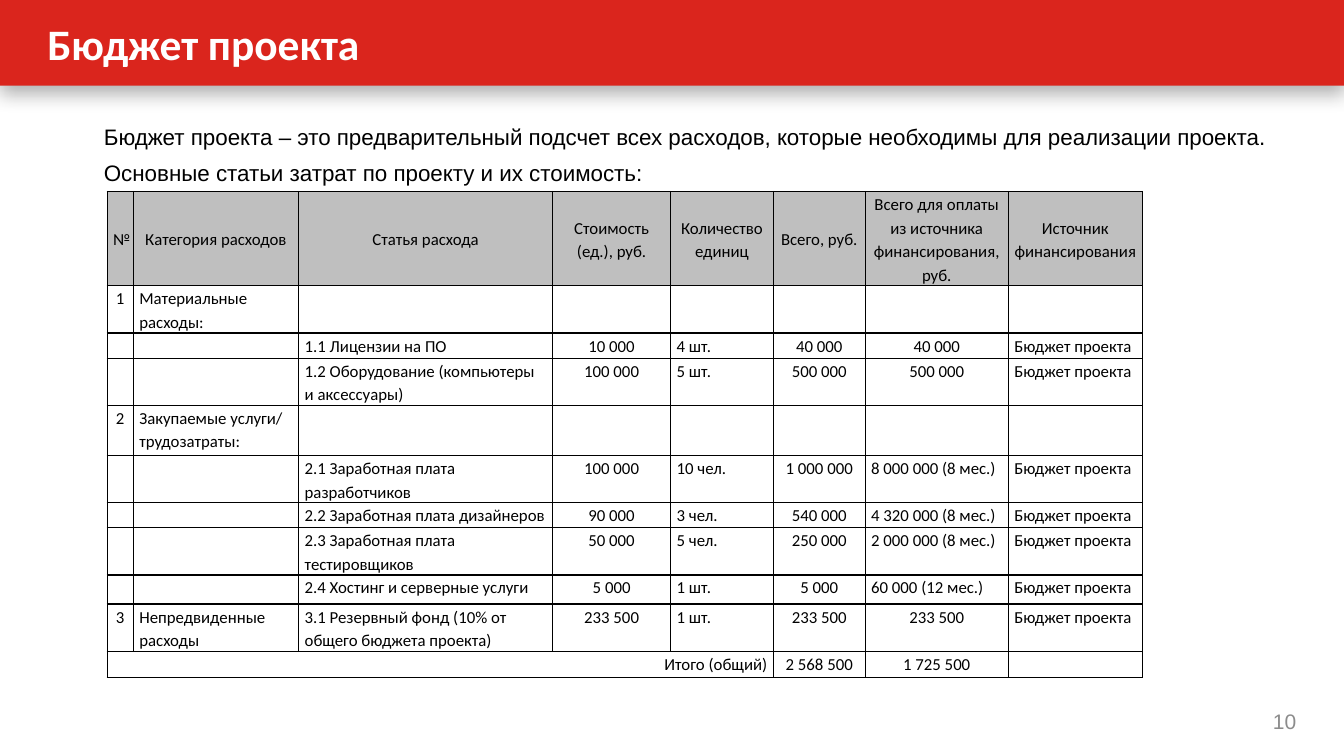
import pptx
import pptx.dml.color
import pptx.enum.shapes
import pptx.enum.text
import pptx.oxml.ns
import pptx.util
from lxml import etree

RED = pptx.dml.color.RGBColor(0xDA, 0x25, 0x1D)
WHITE = pptx.dml.color.RGBColor(0xFF, 0xFF, 0xFF)
BLACK = pptx.dml.color.RGBColor(0, 0, 0)
HEADER_GRAY = pptx.dml.color.RGBColor(0xBF, 0xBF, 0xBF)
NUMBER_GRAY = pptx.dml.color.RGBColor(0x8C, 0x8C, 0x8C)

SLIDE_WIDTH = pptx.util.Inches(13.33)
SLIDE_HEIGHT = pptx.util.Inches(7.5)

LEFT = pptx.enum.text.PP_ALIGN.LEFT
CENTER = pptx.enum.text.PP_ALIGN.CENTER
RIGHT = pptx.enum.text.PP_ALIGN.RIGHT
TOP = pptx.enum.text.MSO_ANCHOR.TOP
MIDDLE = pptx.enum.text.MSO_ANCHOR.MIDDLE

COLUMN_SHARES = [0.26, 1.64, 2.52, 1.17, 1.02, 0.91, 1.42, 1.33]
ROW_SHARES = [0.94, 0.47, 0.25, 0.47, 0.5, 0.47, 0.25, 0.47, 0.29, 0.47, 0.26]
COLUMN_ALIGNS = [CENTER, LEFT, LEFT, CENTER, LEFT, CENTER, CENTER, LEFT]
SOURCE = "Бюджет проекта"
EMPTY = [""] * 6
BUDGET = [
    ["№", "Категория расходов", "Статья расхода", "Стоимость (ед.), руб.", "Количество единиц",
     "Всего, руб.", "Всего для оплаты из источника финансирования, руб.", "Источник финансирования"],
    ["1", "Материальные расходы:", *EMPTY],
    ["", "", "1.1 Лицензии на ПО", "10 000", "4 шт.", "40 000", "40 000", SOURCE],
    ["", "", "1.2 Оборудование (компьютеры и аксессуары)", "100 000", "5 шт.", "500 000", "500 000", SOURCE],
    ["2", "Закупаемые услуги/ трудозатраты:", *EMPTY],
    ["", "", "2.1 Заработная плата разработчиков", "100 000", "10 чел.", "1 000 000", "8 000 000 (8 мес.)", SOURCE],
    ["", "", "2.2 Заработная плата дизайнеров", "90 000", "3 чел.", "540 000", "4 320 000 (8 мес.)", SOURCE],
    ["", "", "2.3 Заработная плата тестировщиков", "50 000", "5 чел.", "250 000", "2 000 000 (8 мес.)", SOURCE],
    ["", "", "2.4 Хостинг и серверные услуги", "5 000", "1 шт.", "5 000", "60 000 (12 мес.)", SOURCE],
    ["3", "Непредвиденные расходы", "3.1 Резервный фонд (10% от общего бюджета проекта)",
     "233 500", "1 шт.", "233 500", "233 500", SOURCE],
    ["Итого (общий)", "", "", "", "", "2 568 500", "1 725 500", ""],
]


def percent_box(left, top, width, height):
    return (int(SLIDE_WIDTH * left / 100), int(SLIDE_HEIGHT * top / 100),
            int(SLIDE_WIDTH * width / 100), int(SLIDE_HEIGHT * height / 100))


def write_text(para, text, *, size, font="Calibri", color=BLACK, bold=False,
               align=LEFT, spacing=1.0, before=0):
    para.alignment = align
    para.line_spacing = spacing
    para.space_before = pptx.util.Pt(before)
    para.space_after = pptx.util.Pt(0)
    if not text:
        end = etree.SubElement(para._p, pptx.oxml.ns.qn("a:endParaRPr"))
        end.set("sz", str(size * 100))
        return
    span = para.add_run()
    span.text = text
    span.font.size = pptx.util.Pt(size)
    span.font.name = font
    span.font.bold = bold
    span.font.color.rgb = color


def set_frame(frame, anchor):
    frame.word_wrap = True
    frame.auto_size = pptx.enum.text.MSO_AUTO_SIZE.NONE
    frame.vertical_anchor = anchor
    frame.margin_left = frame.margin_right = pptx.util.Inches(0.13)
    frame.margin_top = frame.margin_bottom = pptx.util.Inches(0.06)


def add_bar_shadow(bar):
    effects = etree.SubElement(bar._element.spPr, pptx.oxml.ns.qn("a:effectLst"))
    shadow = etree.SubElement(effects, pptx.oxml.ns.qn("a:outerShdw"),
                              blurRad=str(pptx.util.Pt(14)), dist=str(pptx.util.Pt(5)),
                              dir="5400000", algn="t", rotWithShape="0")
    color = etree.SubElement(shadow, pptx.oxml.ns.qn("a:srgbClr"), val="000000")
    etree.SubElement(color, pptx.oxml.ns.qn("a:alpha"), val="31000")


def build_header(page, box):
    left, top, width, height = box
    bar = page.shapes.add_shape(pptx.enum.shapes.MSO_SHAPE.RECTANGLE, *box)
    bar.fill.solid()
    bar.fill.fore_color.rgb = RED
    bar.line.fill.background()
    add_bar_shadow(bar)
    title = page.shapes.title
    bar._element.addnext(title._element)
    title.left, title.top = left + int(width * 0.0255), top
    title.width, title.height = int(width * 0.91), height
    set_frame(title.text_frame, MIDDLE)
    write_text(title.text_frame.paragraphs[0], "Бюджет проекта", size=31, color=WHITE, bold=True)


def build_intro(page, box):
    frame = page.shapes.add_textbox(*box).text_frame
    set_frame(frame, TOP)
    lines = [
        "Бюджет проекта – это предварительный подсчет всех расходов, которые необходимы для реализации проекта.",
        "Основные статьи затрат по проекту и их стоимость:",
    ]
    for index, line in enumerate(lines):
        para = frame.add_paragraph() if index else frame.paragraphs[0]
        write_text(para, line, size=16, font="Arial", spacing=1.3, before=index)
        para._p.get_or_add_pPr().set("marL", "0")
        para._p.get_or_add_pPr().set("indent", str(pptx.util.Inches(0.39)))


def set_borders(cell):
    properties = cell._tc.get_or_add_tcPr()
    for position, side in enumerate(("a:lnL", "a:lnR", "a:lnT", "a:lnB")):
        line = etree.Element(pptx.oxml.ns.qn(side), w=str(pptx.util.Pt(1)))
        fill = etree.SubElement(line, pptx.oxml.ns.qn("a:solidFill"))
        etree.SubElement(fill, pptx.oxml.ns.qn("a:srgbClr"), val=str(BLACK))
        properties.insert(position, line)


def cell_align(row, column, text):
    if row == 0:
        return CENTER
    if row == len(BUDGET) - 1 and column == 0:
        return RIGHT
    if "мес." in text:
        return LEFT
    return COLUMN_ALIGNS[column]


def build_budget(page, box):
    left, top, width, height = box
    table = page.shapes.add_table(len(BUDGET), len(COLUMN_SHARES), *box).table
    table.first_row = table.horz_banding = False
    for column, share in zip(table.columns, COLUMN_SHARES):
        column.width = int(width * share / sum(COLUMN_SHARES))
    for row, share in zip(table.rows, ROW_SHARES):
        row.height = int(height * share / sum(ROW_SHARES))
    for row, texts in enumerate(BUDGET):
        for column, text in enumerate(texts):
            cell = table.cell(row, column)
            cell.margin_left = cell.margin_right = pptx.util.Inches(0.06)
            cell.margin_top = cell.margin_bottom = 0
            cell.vertical_anchor = TOP if row else MIDDLE
            if row:
                cell.fill.background()
            else:
                cell.fill.solid()
                cell.fill.fore_color.rgb = HEADER_GRAY
            set_borders(cell)
            write_text(cell.text_frame.paragraphs[0], text, size=12, spacing=1.15,
                       align=cell_align(row, column, text))
    last = len(BUDGET) - 1
    table.cell(last, 0).merge(table.cell(last, 4))


def build_page_number(page, box):
    frame = page.shapes.add_textbox(*box).text_frame
    set_frame(frame, MIDDLE)
    write_text(frame.paragraphs[0], "10", size=15, font="Arial", color=NUMBER_GRAY, align=RIGHT)


def main():
    deck = pptx.Presentation()
    deck.slide_width, deck.slide_height = SLIDE_WIDTH, SLIDE_HEIGHT
    page = deck.slides.add_slide(deck.slide_layouts[5])
    build_header(page, percent_box(0, 0, 100, 11.33))
    build_intro(page, percent_box(3.83, 14.4, 92.42, 27.87))
    build_page_number(page, percent_box(91.2, 92.67, 6.23, 5.33))
    build_budget(page, percent_box(7.97, 25.33, 77.04, 64.3))
    deck.save("out.pptx")


if __name__ == "__main__":
    main()
